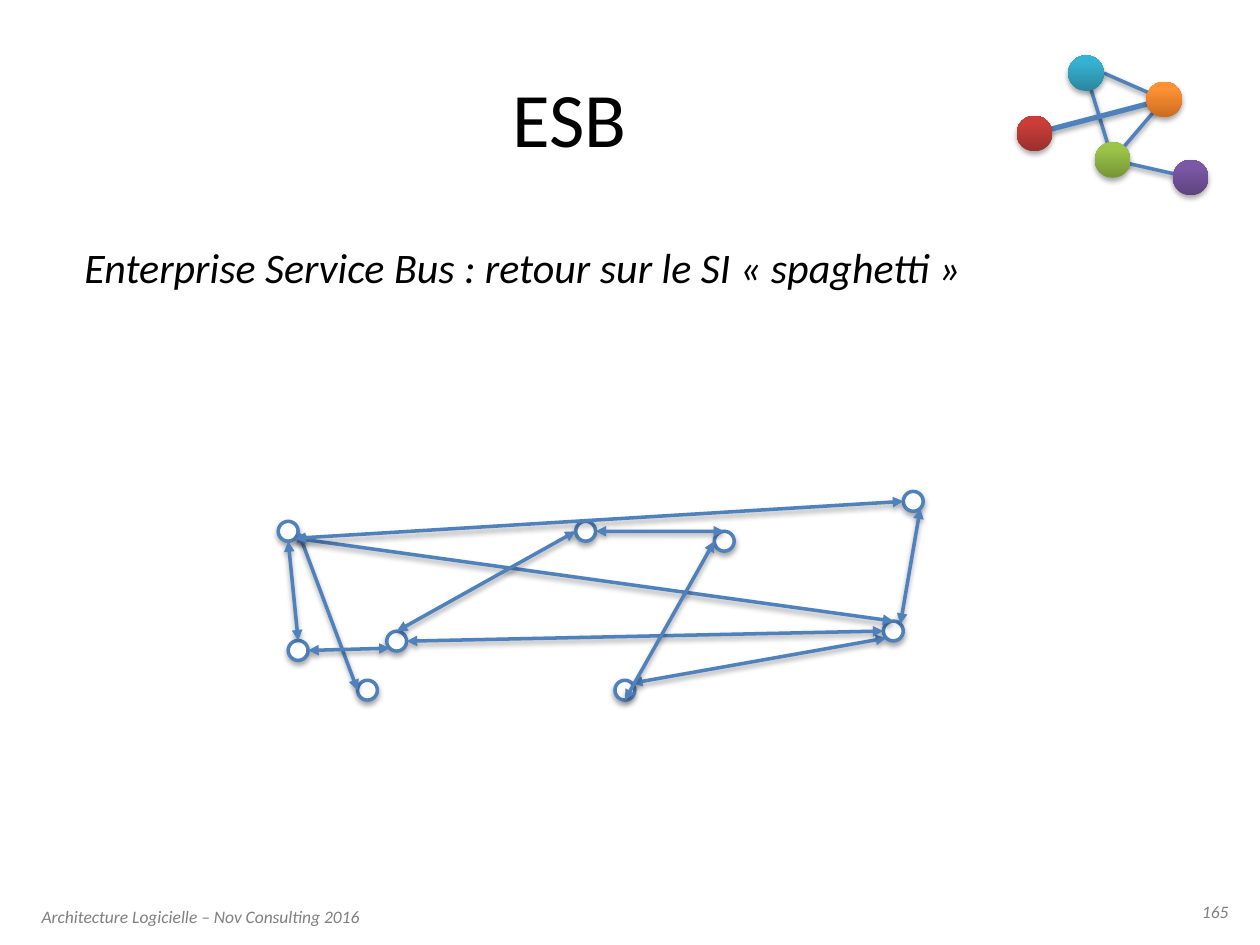
from copy import deepcopy
from math import cos, radians, sin

from lxml import etree
from pptx import Presentation
from pptx.dml.color import RGBColor
from pptx.enum import shapes, text
from pptx.oxml.ns import qn
from pptx.util import Pt

BLUE = "4F81BD"
BALL_SIZE = 20.4
NODE_SIZE = 11.34
COMPASS = {"E": 0, "SE": 45, "S": 90, "SW": 135, "W": 180, "NW": 225, "N": 270, "NE": 315}

# Centre and gradient (bottom, near top, top) of each ball of the emblem
BALLS = {
    "blue": ((620.6, 41.8), ("2A869F", "37B1D1", "34B3D5")),
    "orange": ((665.3, 56.9), ("C96D20", "FF9034", "FF9035")),
    "green": ((635.8, 91.4), ("769537", "9BC348", "9CC646")),
    "red": ((591.1, 76.3), ("9A2F2C", "CA3E3A", "CE3B37")),
    "purple": ((680.4, 101.5), ("5E437E", "7B58A6", "7B57A8")),
}
BALL_LINKS = [
    ("blue", "", "green", 2),
    ("red", "", "orange", 3),
    ("blue", "E", "orange", 2),
    ("green", "", "purple", 2),
    ("orange", "", "green", 2),
]

# Centres of the applications of the "spaghetti" information system
APPS = {
    "a": (164.7, 303.6),
    "b": (226.7, 366.4),
    "c": (170.4, 371.7),
    "d": (521.9, 286.5),
    "e": (334.7, 303.6),
    "f": (413.9, 309.3),
    "g": (510.5, 360.6),
    "h": (210, 394.4),
    "i": (357.1, 394.4),
}
APP_LINKS = [
    ("a", "E", "h", "W"), ("a", "SE", "g", "N"), ("a", "S", "c", "N"),
    ("i", "NE", "g", "SW"), ("b", "N", "e", "W"), ("d", "SE", "g", "NE"),
    ("a", "SE", "d", "W"), ("e", "E", "f", "N"), ("b", "E", "g", "W"),
    ("f", "W", "i", "S"), ("b", "SW", "c", "E"),
]


def color(hex_string):
    return RGBColor.from_string(hex_string)


def add_shadow(element, distance=1.8, opacity=35):
    """Append a soft downward shadow; call after fill and line are set."""
    effects = etree.SubElement(element.spPr, qn("a:effectLst"))
    shadow = etree.SubElement(
        effects, qn("a:outerShdw"), blurRad=str(Pt(3)), dist=str(Pt(distance)),
        dir="5400000", rotWithShape="0")
    black = etree.SubElement(shadow, qn("a:srgbClr"), val="000000")
    etree.SubElement(black, qn("a:alpha"), val=str(opacity * 1000))


def rim_point(centre, size, side):
    """Point of a circle in a compass direction, or its centre if side is empty."""
    if not side:
        return centre
    angle = radians(COMPASS[side])
    return centre[0] + size / 2 * cos(angle), centre[1] + size / 2 * sin(angle)


def add_circle(group, centre, size):
    return group.shapes.add_shape(
        shapes.MSO_SHAPE.OVAL, Pt(centre[0] - size / 2), Pt(centre[1] - size / 2),
        Pt(size), Pt(size))


def add_ball(group, centre, gradient):
    ball = add_circle(group, centre, BALL_SIZE)
    ball.line.fill.background()
    ball.fill.gradient()
    ball.fill.gradient_angle = 90
    stop_list = ball.element.spPr.find(".//" + qn("a:gsLst"))
    stop_list.append(deepcopy(stop_list[-1]))
    for stop, position, shade in zip(ball.fill.gradient_stops, (0, 0.8, 1), gradient):
        stop.position = position
        stop.color.rgb = color(shade)
    add_shadow(ball.element)


def add_app(group, centre):
    app = add_circle(group, centre, NODE_SIZE)
    app.fill.solid()
    app.fill.fore_color.rgb = color("FFFFFF")
    app.line.color.rgb = color(BLUE)
    app.line.width = Pt(2)
    add_shadow(app.element)


def add_link(group, start, end, width=2, arrows=False):
    link = group.shapes.add_connector(
        shapes.MSO_CONNECTOR.STRAIGHT, *(Pt(value) for value in (*start, *end)))
    link.line.color.rgb = color(BLUE)
    link.line.width = Pt(width)
    if arrows:
        outline = link.element.spPr.find(qn("a:ln"))
        for tip in ("a:headEnd", "a:tailEnd"):
            etree.SubElement(outline, qn(tip), type="triangle")
    if arrows or width == 3:
        add_shadow(link.element)
    else:
        add_shadow(link.element, 1.6, 38)


def add_text(slide, words, box, size, ink="000000", italic=False, margin=3.6,
             align=text.PP_ALIGN.LEFT, anchor=text.MSO_ANCHOR.TOP, wrap=True):
    frame = slide.shapes.add_textbox(*(Pt(value) for value in box)).text_frame
    frame.word_wrap = wrap
    frame.vertical_anchor = anchor
    frame.margin_left = frame.margin_right = Pt(margin)
    frame.margin_top = frame.margin_bottom = Pt(margin)
    frame.text = words
    paragraph = frame.paragraphs[0]
    paragraph.alignment = align
    font = paragraph.runs[0].font
    font.name, font.size, font.italic = "Calibri", Pt(size), italic
    font.color.rgb = color(ink)
    return paragraph


def add_emblem(slide):
    group = slide.shapes.add_group_shape()
    for start, side, end, width in BALL_LINKS:
        add_link(group, rim_point(BALLS[start][0], BALL_SIZE, side), BALLS[end][0], width)
    for centre, gradient in BALLS.values():
        add_ball(group, centre, gradient)


def add_spaghetti(slide):
    group = slide.shapes.add_group_shape()
    for centre in APPS.values():
        add_app(group, centre)
    for start, start_side, end, end_side in APP_LINKS:
        add_link(group, rim_point(APPS[start], NODE_SIZE, start_side),
                 rim_point(APPS[end], NODE_SIZE, end_side), arrows=True)


def main():
    deck = Presentation()
    deck.slide_width, deck.slide_height = Pt(720), Pt(540)
    slide = deck.slides.add_slide(deck.slide_layouts[6])

    add_text(slide, "Architecture Logicielle – Nov Consulting 2016",
             (20.2, 514.1, 209.5, 29.5), 10, "808080", italic=True)
    add_text(slide, "165", (681.8, 511.2, 23.8, 18), 10, "808080", italic=True,
             align=text.PP_ALIGN.RIGHT, wrap=False)
    add_text(slide, "ESB", (36, 21.6, 578.9, 90), 44,
             align=text.PP_ALIGN.CENTER, anchor=text.MSO_ANCHOR.MIDDLE)
    add_emblem(slide)
    subtitle = add_text(
        slide, "Enterprise Service Bus : retour sur le SI « spaghetti »",
        (48.2, 138.2, 648, 121.7), 24, italic=True, margin=0)
    subtitle.space_before = Pt(5)
    add_spaghetti(slide)

    deck.save("out.pptx")


if __name__ == "__main__":
    main()
